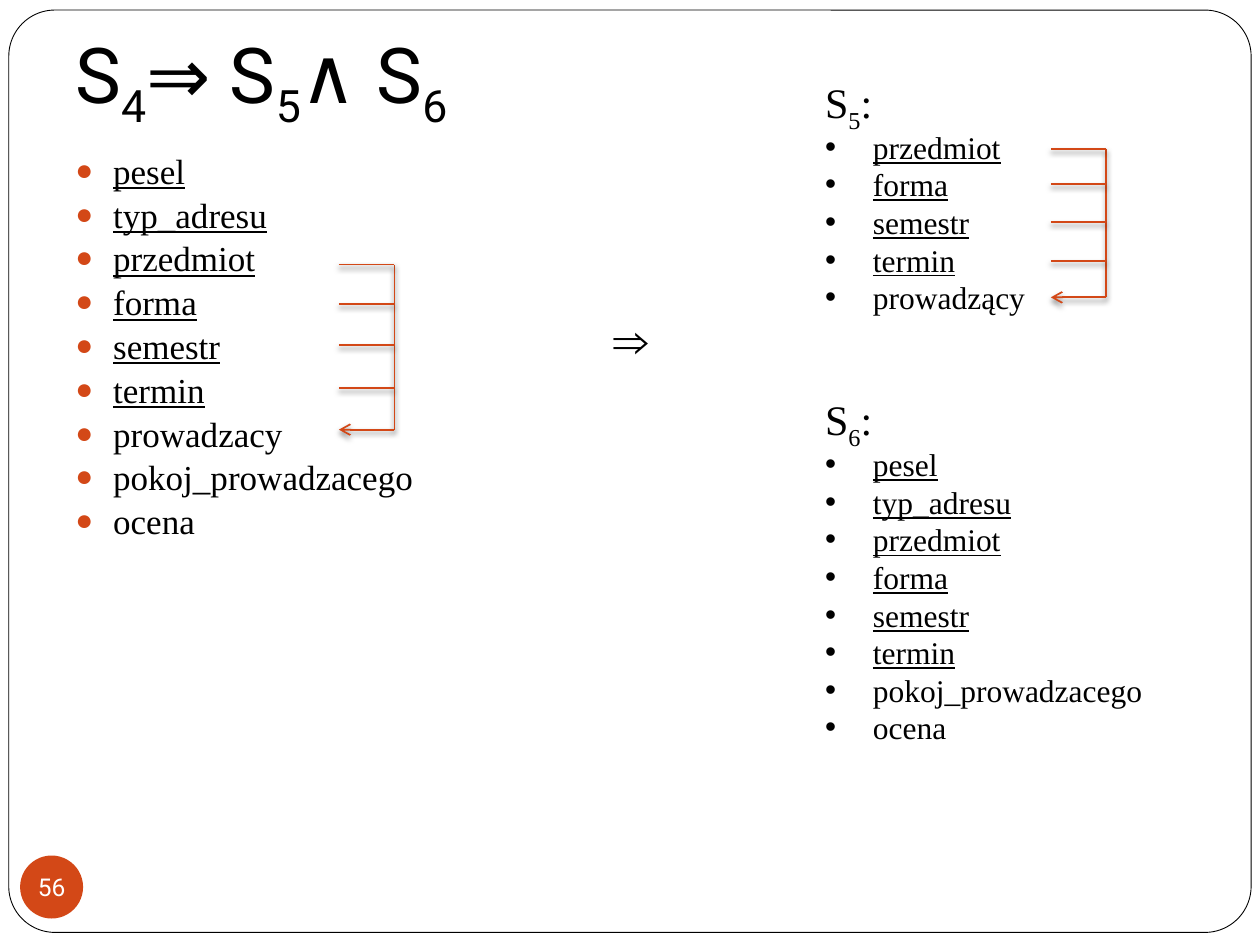
"""Build the slide that splits relation S4 into S5 and S6."""
import dataclasses

import lxml.etree
import pptx
import pptx.dml.color
import pptx.enum.shapes
import pptx.enum.text
import pptx.oxml.ns
import pptx.util

Inches = pptx.util.Inches
Pt = pptx.util.Pt
Kind = pptx.enum.shapes.MSO_SHAPE
Align = pptx.enum.text.PP_ALIGN
Anchor = pptx.enum.text.MSO_ANCHOR


@dataclasses.dataclass(frozen=True)
class Theme:
    ink: str = "000000"
    paper: str = "FFFFFF"
    accent: str = "D34817"
    serif: str = "Times New Roman"
    sans: str = "Roboto"
    title: int = 44
    sign: int = 28
    head: int = 24
    body: int = 20
    item: int = 18
    page: int = 14


@dataclasses.dataclass(frozen=True)
class Bullet:
    mark: str
    indent: float
    size: int
    color: str


def rgb(color):
    return pptx.dml.color.RGBColor.from_string(color)


def add(parent, tag, **attrs):
    node = lxml.etree.SubElement(parent, pptx.oxml.ns.qn(tag))
    for key, value in attrs.items():
        node.set(key, str(value))
    return node


class Deck:
    def __init__(self, theme):
        self.theme = theme
        self.show = pptx.Presentation()
        self.show.slide_width, self.show.slide_height = Inches(10), Inches(7.5)
        self.slide = self.show.slides.add_slide(self.show.slide_layouts[6])

    def shape(self, kind, box, fill, line=None):
        shape = self.slide.shapes.add_shape(kind, *map(Inches, box))
        shape.shadow.inherit = False
        shape.fill.solid()
        shape.fill.fore_color.rgb = rgb(fill)
        if line:
            shape.line.color.rgb = rgb(line)
            shape.line.width = Pt(0.5)
        else:
            shape.line.fill.background()
        return shape

    def frame(self, box):
        frame = self.slide.shapes.add_textbox(*map(Inches, box)).text_frame
        frame.word_wrap = True
        return frame

    def font(self, para, size, face, color):
        para.font.size, para.font.name = Pt(size), face
        para.font.color.rgb = rgb(color)

    def formula(self, para, parts, size, face):
        for text, low in parts:
            run = para.add_run()
            run.text = text
            if low:
                run._r.get_or_add_rPr().set("baseline", "-25000")
        self.font(para, size, face, self.theme.ink)

    def items(self, frame, keys, rest, size, gap, bullet):
        for name in keys + rest:
            para = frame.paragraphs[0]
            if para.runs:
                para = frame.add_paragraph()
            para.text = name
            para.line_spacing, para.space_before = 0.8, Pt(gap)
            props = para._p.get_or_add_pPr()
            props.set("marL", str(Inches(bullet.indent)))
            props.set("indent", str(-Inches(bullet.indent)))
            add(add(props, "a:buClr"), "a:srgbClr", val=bullet.color)
            add(props, "a:buSzPct", val=bullet.size * 1000)
            add(props, "a:buFont", typeface="Arial")
            add(props, "a:buChar", char=bullet.mark)
            self.font(para, size, self.theme.serif, self.theme.ink)
            para.font.underline = name in keys

    def table(self, index, box, keys, rest):
        frame = self.frame(box)
        head = frame.paragraphs[0]
        head.line_spacing, head.space_before = 0.8, Pt(5.5)
        parts = [("S", False), (index, True), (":", False)]
        self.formula(head, parts, self.theme.head, self.theme.serif)
        bullet = Bullet("•", 0.38, 100, self.theme.ink)
        self.items(frame, keys, rest, self.theme.item, 4.2, bullet)

    def line(self, start, end, arrow=False):
        kind = pptx.enum.shapes.MSO_CONNECTOR.STRAIGHT
        line = self.slide.shapes.add_connector(kind, *map(Inches, start + end))
        line.line.color.rgb = rgb(self.theme.accent)
        line.line.width = Pt(1)
        if arrow:
            add(line.line._get_or_add_ln(), "a:tailEnd", type="arrow")
        effect = add(line._element.spPr, "a:effectLst")
        shade = add(effect, "a:outerShdw", blurRad=Pt(3), dist=Pt(2),
                    dir=90 * 60000, rotWithShape=0)
        color = add(shade, "a:srgbClr", val=self.theme.ink)
        add(color, "a:alpha", val=50000)

    def bracket(self, left, rows):
        right = left + 0.44
        self.line((right, rows[0]), (right, rows[-1]))
        for row in rows[:-1]:
            self.line((left, row), (right, row))
        self.line((right, rows[-1]), (left, rows[-1]), arrow=True)

    def badge(self, box, text):
        frame = self.shape(Kind.OVAL, box, self.theme.accent).text_frame
        frame.margin_left = frame.margin_right = 0
        frame.margin_top = frame.margin_bottom = 0
        frame.word_wrap = False
        frame.vertical_anchor = Anchor.MIDDLE
        para = frame.paragraphs[0]
        para.text, para.alignment = text, Align.CENTER
        self.font(para, self.theme.page, self.theme.sans, self.theme.paper)


def main():
    theme = Theme()
    deck = Deck(theme)
    border = deck.shape(Kind.ROUNDED_RECTANGLE, (0.07, 0.08, 9.86, 7.32),
                        theme.paper, theme.ink)
    border.adjustments[0] = 0.05

    owner = ["pesel", "typ_adresu"]
    course = ["przedmiot", "forma", "semestr", "termin"]
    grade = ["pokoj_prowadzacego", "ocena"]

    deck.items(deck.frame((0.5, 1.2, 9, 5.78)), owner + course,
               ["prowadzacy"] + grade, theme.body, 5.8,
               Bullet("●", 0.3, 85, theme.accent))

    title = deck.frame((0.5, 0, 9, 1.25))
    title.vertical_anchor = Anchor.MIDDLE
    parts = [("S", False), ("4", True), ("⇒ S", False), ("5", True),
             ("∧ S", False), ("6", True)]
    deck.formula(title.paragraphs[0], parts, theme.title, theme.sans)

    deck.bracket(2.69, [2.1, 2.41, 2.74, 3.08, 3.41])

    sign = deck.frame((4.59, 2.41, 0.84, 0.57)).paragraphs[0]
    sign.alignment = Align.CENTER
    deck.formula(sign, [("⇒", False)], theme.sign, theme.serif)

    deck.table("5", (6.45, 0.6, 3.05, 2.38), course, ["prowadzący"])
    deck.table("6", (6.45, 3.12, 3.05, 3.94), owner + course, grade)
    deck.bracket(8.34, [1.18, 1.46, 1.76, 2.07, 2.36])
    deck.badge((0.16, 6.79, 0.5, 0.5), "56")
    deck.show.save("out.pptx")


if __name__ == "__main__":
    main()
